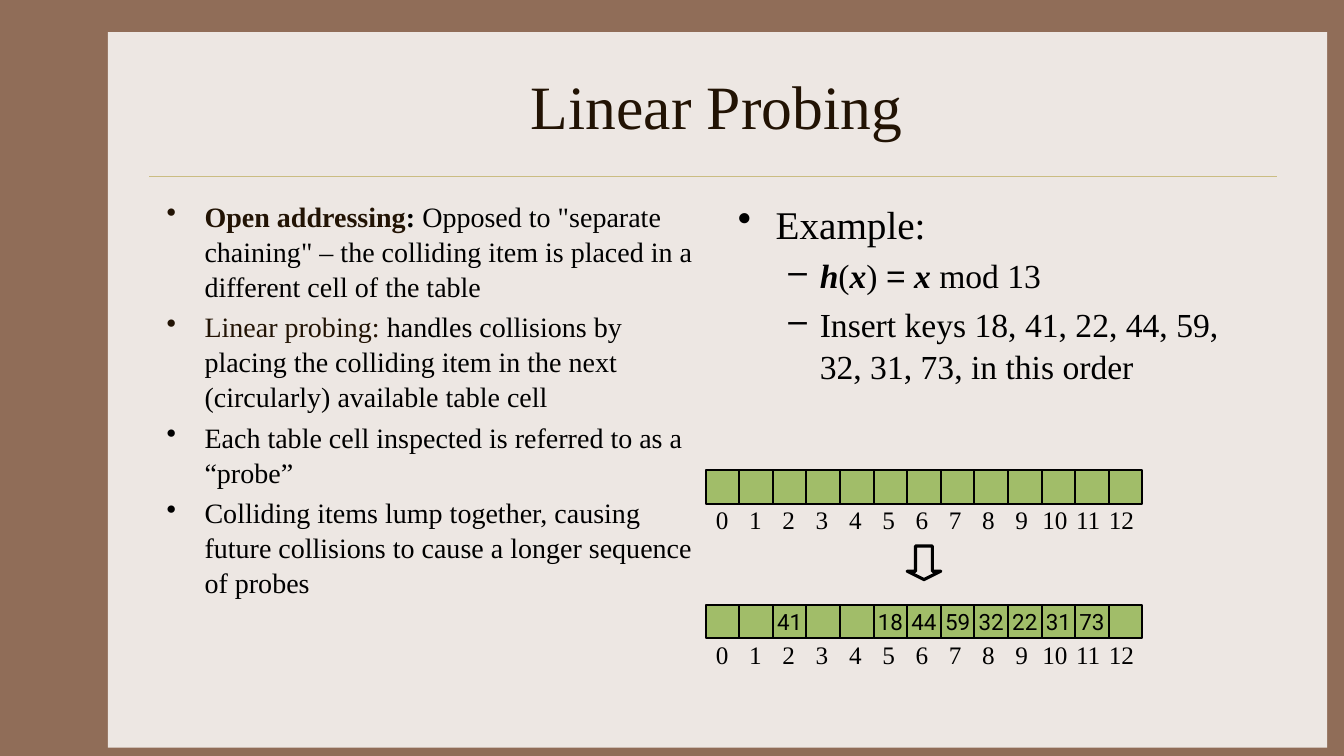
from pptx import Presentation
from pptx.dml.color import RGBColor
from pptx.enum.shapes import MSO_CONNECTOR as Conn, MSO_SHAPE as Form
from pptx.enum.text import MSO_ANCHOR as Anchor, MSO_AUTO_SIZE as Fit, PP_ALIGN as Align
from pptx.oxml.ns import qn
from pptx.util import Pt
from lxml.etree import SubElement as sub

HUES = {"back": "906D58", "panel": "EDE7E3", "rule": "CBBD83",
        "brown": "221304", "black": "000000", "cell": "A1BD69"}
SERIF = "Times New Roman"
LEVELS = [("•", 27, 27), ("–", 58.5, 22.5)]


def hue(name):
    return RGBColor.from_string(HUES[name])


class Deck:
    def __init__(self):
        self.file = Presentation()
        self.file.slide_width, self.file.slide_height = Pt(960), Pt(540)
        self.slide = self.file.slides.add_slide(self.file.slide_layouts[5])
        self.shapes = self.slide.shapes
        fill = self.slide.background.fill
        fill.solid()
        fill.fore_color.rgb = hue("back")

    def style(self, para, size, color="black", face=SERIF):
        font = para.font
        font.size, font.name = Pt(size), face
        font.color.rgb = hue(color)

    def title(self, text, *box):
        head = self.shapes.title
        head.left, head.top, head.width, head.height = map(Pt, box)
        frame = head.text_frame
        frame.text = text
        frame.vertical_anchor = Anchor.MIDDLE
        para = frame.paragraphs[0]
        para.alignment = Align.CENTER
        self.style(para, 44, "brown")
        head.element.getparent().append(head.element)

    def shape(self, form, box, fill=None, line=None, width=1.5):
        item = self.shapes.add_shape(form, *map(Pt, box))
        item.shadow.inherit = False
        if fill:
            item.fill.solid()
            item.fill.fore_color.rgb = hue(fill)
        else:
            item.fill.background()
        if line:
            item.line.color.rgb = hue(line)
            item.line.width = Pt(width)
        else:
            item.line.fill.background()
        return item

    def rule(self, *ends):
        line = self.shapes.add_connector(Conn.STRAIGHT, *map(Pt, ends))
        line.line.color.rgb = hue("rule")
        line.line.width = Pt(0.25)
        sub(line.element.spPr, qn("a:effectLst"))

    def label(self, frame, text, size, face=SERIF):
        frame.word_wrap = False
        frame.text = text
        para = frame.paragraphs[0]
        para.alignment = Align.CENTER
        self.style(para, size, face=face)

    def bullets(self, box, items):
        frame = self.shapes.add_textbox(*map(Pt, box)).text_frame
        frame.word_wrap = True
        for num, (level, size, runs) in enumerate(items):
            para = frame.add_paragraph() if num else frame.paragraphs[0]
            mark, left, hang = LEVELS[level]
            para.level = level
            para.line_spacing = 1.04
            para.space_before = Pt(size / 5)
            self.style(para, size)
            props = para._p.get_or_add_pPr()
            props.set("marL", str(Pt(left)))
            props.set("indent", str(-Pt(hang)))
            sign = props.makeelement(qn("a:buChar"), {"char": mark})
            props.find(qn("a:defRPr")).addprevious(sign)
            for text, look in runs:
                run = para.add_run()
                run.text = text
                if "bold" in look:
                    run.font.bold = True
                if "slant" in look:
                    run.font.italic = True
                if "brown" in look:
                    run.font.color.rgb = hue("brown")
                if "sans" in look:
                    run.font.name = "Arial"

    def row(self, top, keys):
        for slot in range(13):
            cell = self.shape(Form.RECTANGLE, (504 + 24 * slot, top, 24, 24), "cell", "black")
            if slot in keys:
                frame = cell.text_frame
                frame.margin_left = frame.margin_right = Pt(3.6)
                frame.vertical_anchor = Anchor.MIDDLE
                self.label(frame, str(keys[slot]), 16, "Roboto")
        for slot in range(13):
            wide = 24 if slot < 10 else 32.4
            mid = 515.88 + 23.76 * slot
            box = mid - wide / 2, top + 21, wide, 29
            frame = self.shapes.add_textbox(*map(Pt, box)).text_frame
            self.label(frame, str(slot), 18)
            frame.auto_size = Fit.SHAPE_TO_FIT_TEXT


def main():
    deck = Deck()
    deck.shape(Form.RECTANGLE, (77, 23, 871, 511), "panel")
    deck.rule(106.5, 126, 912, 126)
    deck.title("Linear Probing", 112, 30, 800, 90)
    deck.bullets((112, 138, 392, 324), [
        (0, 20, [("Open addressing", "bold brown"), (": ", "bold"),
                 ("Opposed to \"separate chaining\" – the colliding item "
                  "is placed in a different cell of the table", "")]),
        (0, 20, [("Linear probing:", "brown"),
                 (" handles collisions by placing the colliding item "
                  "in the next (circularly) available table cell", "")]),
        (0, 20, [("Each table cell inspected is referred to as a “probe”", "")]),
        (0, 20, [("Colliding items lump together, causing future collisions "
                  "to cause a longer sequence of probes", "")])])
    deck.bullets((520, 138, 392, 152), [
        (0, 28, [("Example:", "")]),
        (1, 24, [("h", "bold slant"), ("(", ""), ("x", "bold slant"), (") ", ""),
                 ("=", "sans"), (" x ", "bold slant"), ("mod 13", "")]),
        (1, 24, [("Insert keys 18, 41, 22, 44, 59, 32, 31, 73, in this order", "")])])
    deck.row(336, {})
    deck.row(432, {2: 41, 5: 18, 6: 44, 7: 59, 8: 32, 9: 22, 10: 31, 11: 73})
    arrow = deck.shape(Form.DOWN_ARROW, (648, 390, 24, 24), None, "black", 2.25)
    arrow.adjustments[0], arrow.adjustments[1] = 0.5, 0.25
    deck.file.save("out.pptx")


if __name__ == "__main__":
    main()
